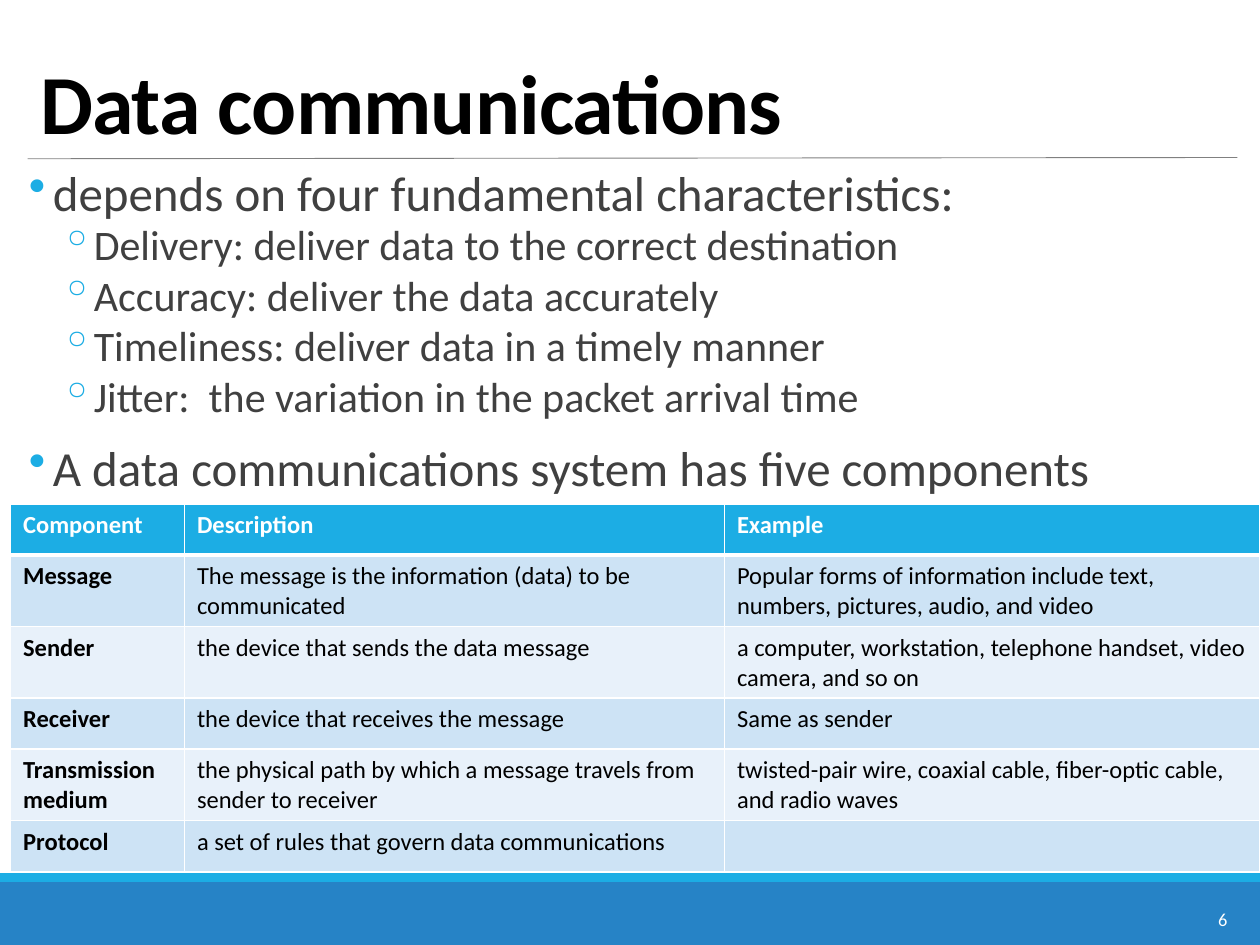
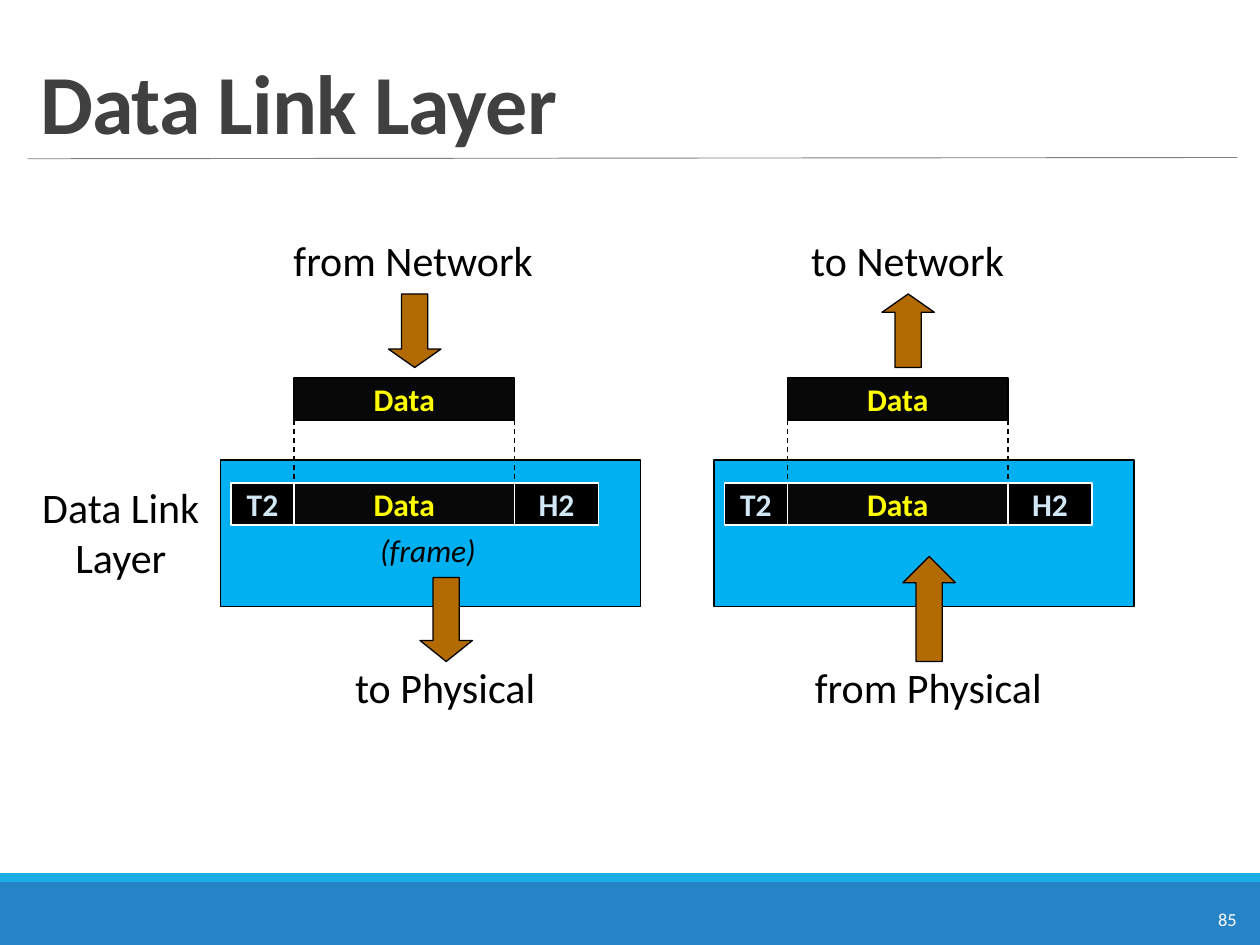
import lxml.etree
import pptx
import pptx.dml.color
import pptx.enum.dml
import pptx.enum.shapes
import pptx.enum.text
import pptx.oxml.ns
import pptx.util

Pt = pptx.util.Pt
qn = pptx.oxml.ns.qn
Shape = pptx.enum.shapes.MSO_SHAPE
Align = pptx.enum.text.PP_ALIGN
Anchor = pptx.enum.text.MSO_ANCHOR

COLORS = {
    "white": "FFFFFF", "black": "000000", "ink": "404040", "rule": "808080",
    "band": "2683C6", "accent": "1CADE4", "row_dark": "CDE3F5",
    "row_light": "E8F1FA", "layer": "00B0F0", "data": "080808",
    "yellow": "FFFF00", "pale": "D1E7F6", "arrow": "B26B02",
}
FONT = "Calibri"


def rgb(name):
    return pptx.dml.color.RGBColor.from_string(COLORS[name])


def add_color(parent, tag, name):
    holder = lxml.etree.SubElement(parent, qn(tag))
    lxml.etree.SubElement(holder, qn("a:srgbClr"), val=COLORS[name])


class SlideWriter:
    """Holds the deck's style and the slide being filled."""

    def __init__(self):
        self.deck = pptx.Presentation()
        self.deck.slide_width = Pt(720)
        self.deck.slide_height = Pt(540)
        self.page = None

    def start_page(self, title, number, title_color):
        self.page = self.deck.slides.add_slide(self.deck.slide_layouts[6])
        # Bottom bands, title rule, page number
        self.shape(0, 504, 720, 36, "band")
        self.shape(0, 499, 720, 5, "accent")
        self.line(15.84, 90.72, 707.04, 90, "rule", 0.5)
        self.text(689, 515.5, 26.6, 20, number, 10.5, "white", wrap=True)
        # Title
        box = self.text(15.84, 18, 691.2, 72, title, 48, title_color,
                        bold=True, wrap=True)
        box.text_frame.vertical_anchor = Anchor.BOTTOM
        para = box.text_frame.paragraphs[0]
        para.line_spacing = 0.85
        para.runs[0].font._element.set("spc", "-50")

    def span(self, para, words, size, color, bold=False, italic=False):
        span = para.add_run()
        span.text = words
        font = span.font
        font.name, font.size = FONT, Pt(size)
        font.bold, font.italic = bold, italic
        font.color.rgb = rgb(color)

    def text(self, left, top, width, height, words, size, color, bold=False,
             italic=False, align=Align.LEFT, wrap=False):
        box = self.page.shapes.add_textbox(Pt(left), Pt(top), Pt(width), Pt(height))
        box.text_frame.word_wrap = wrap
        para = box.text_frame.paragraphs[0]
        para.alignment = align
        for index, row in enumerate(words.split("\n")):
            if index:
                para.add_line_break()
            self.span(para, row, size, color, bold, italic)
        return box

    def bullets(self, left, top, width, height, items):
        box = self.page.shapes.add_textbox(Pt(left), Pt(top), Pt(width), Pt(height))
        frame = box.text_frame
        frame.word_wrap = True
        frame.margin_left = frame.margin_right = 0
        # Per level: size, bullet, text indent, hanging, space before, space after
        levels = [(28, "•", 18, 13.7, 12, 2), (24, "◦", 36.7, 14.4, 2, 4)]
        for index, (level, words) in enumerate(items):
            size, mark, indent, hanging, before, after = levels[level]
            para = frame.add_paragraph() if index else frame.paragraphs[0]
            para.level = level
            para.line_spacing = 0.8
            para.space_before = Pt(before if index else 0)
            para.space_after = Pt(after)
            properties = para._p.get_or_add_pPr()
            properties.set("marL", str(Pt(indent)))
            properties.set("indent", str(-Pt(hanging)))
            add_color(properties, "a:buClr", "accent")
            lxml.etree.SubElement(properties, qn("a:buChar"), char=mark)
            self.span(para, words, size, "ink")

    def shape(self, left, top, width, height, fill, line=None, kind=Shape.RECTANGLE,
              words="", color="white"):
        shape = self.page.shapes.add_shape(kind, Pt(left), Pt(top), Pt(width), Pt(height))
        shape.shadow.inherit = False
        shape.fill.solid()
        shape.fill.fore_color.rgb = rgb(fill)
        if line:
            shape.line.color.rgb = rgb(line)
            shape.line.width = Pt(0.75)
        else:
            shape.line.fill.background()
        if words:
            frame = shape.text_frame
            frame.word_wrap = False
            frame.vertical_anchor = Anchor.MIDDLE
            frame.paragraphs[0].alignment = Align.CENTER
            self.span(frame.paragraphs[0], words, 18, color, bold=True)
        return shape

    def arrow(self, left, top, height, head, kind):
        arrow = self.shape(left, top, 30, height, "arrow", "black", kind)
        arrow.adjustments[0] = 0.5
        arrow.adjustments[1] = head

    def line(self, x1, y1, x2, y2, color, weight, dashed=False):
        line = self.page.shapes.add_connector(
            pptx.enum.shapes.MSO_CONNECTOR.STRAIGHT, Pt(x1), Pt(y1), Pt(x2), Pt(y2))
        line.line.color.rgb = rgb(color)
        line.line.width = Pt(weight)
        if dashed:
            line.line.dash_style = pptx.enum.dml.MSO_LINE.DASH
        lxml.etree.SubElement(line._element.spPr, qn("a:effectLst"))

    def table(self, left, top, widths, row_height, rows):
        table = self.page.shapes.add_table(
            len(rows), len(widths), Pt(left), Pt(top), Pt(sum(widths)),
            Pt(row_height * len(rows))).table
        for column, width in zip(table.columns, widths):
            column.width = Pt(width)
        for r, row in enumerate(rows):
            table.rows[r].height = Pt(row_height)
            fill = "accent" if r == 0 else "row_dark" if r % 2 else "row_light"
            for c, words in enumerate(row):
                cell = table.cell(r, c)
                self.borders(cell, top=3 if r == 1 else 1, bottom=3 if r == 0 else 1)
                cell.fill.solid()
                cell.fill.fore_color.rgb = rgb(fill)
                if words:
                    self.span(cell.text_frame.paragraphs[0], words, 14,
                              "black" if r else "white", bold=r == 0 or c == 0)

    def borders(self, cell, top, bottom):
        properties = cell._tc.get_or_add_tcPr()
        for side, weight in (("L", 1), ("R", 1), ("T", top), ("B", bottom)):
            edge = lxml.etree.SubElement(properties, qn("a:ln" + side), w=str(Pt(weight)))
            add_color(edge, "a:solidFill", "white")


def data_communications(writer):
    writer.start_page("Data communications", "6", "black")
    writer.bullets(12.24, 95.8, 691.2, 198, [
        (0, "depends on four fundamental characteristics:"),
        (1, "Delivery: deliver data to the correct destination"),
        (1, "Accuracy: deliver the data accurately"),
        (1, "Timeliness: deliver data in a timely manner"),
        (1, "Jitter:  the variation in the packet arrival time"),
        (0, "A data communications system has five components"),
    ])
    writer.table(6, 288, [99.4, 308.6, 306], 29.2, [
        ("Component", "Description", "Example"),
        ("Message", "The message is the information (data) to be communicated",
         "Popular forms of information include text, numbers, pictures, audio, and video"),
        ("Sender", "the device that sends the data message",
         "a computer, workstation, telephone handset, video camera, and so on"),
        ("Receiver", "the device that receives the message", "Same as sender"),
        ("Transmission medium",
         "the physical path by which a message travels from sender to receiver",
         "twisted-pair wire, coaxial cable, fiber-optic cable, and radio waves"),
        ("Protocol", "a set of rules that govern data communications", ""),
    ])


def data_link_layer(writer):
    writer.start_page("Data Link Layer", "85", "ink")
    writer.text(16.56, 271.4, 105, 65.5, "Data Link\nLayer", 24, "black",
                align=Align.CENTER)
    # Sending and receiving sides
    for left in (126, 408):
        data_left, data_right = left + 42, left + 168
        writer.shape(left, 262.8, 240, 84, "layer", "black")
        writer.shape(data_left, 216, 126, 24, "data", "black",
                     words="Data", color="yellow")
        # Frame: trailer, data, header
        for offset, width, fill, words, color in (
                (6, 36, "black", "T2", "pale"),
                (42, 126, "data", "Data", "yellow"),
                (168, 48, "black", "H2", "pale")):
            writer.shape(left + offset, 276, width, 24, fill, "white",
                         words=words, color=color)
        for x in (data_left, data_right):
            writer.line(x, 240, x, 276, "black", 0.75, dashed=True)
    # Flow arrows
    writer.arrow(222, 168, 42, 0.35, Shape.DOWN_ARROW)
    writer.arrow(504, 168, 42, 0.35, Shape.UP_ARROW)
    writer.arrow(240, 330, 48, 0.4, Shape.DOWN_ARROW)
    writer.arrow(516, 318, 60, 0.5, Shape.UP_ARROW)
    # Flow labels
    for left, top, width, words in (
            (160.6, 130.3, 152.6, "from Network"), (456.5, 130.3, 125.3, "to Network"),
            (195.8, 374.4, 118, "to Physical"), (458.6, 374.4, 145.4, "from Physical")):
        writer.text(left, top, width, 36, words, 24, "black")
    writer.text(210.2, 300.2, 74.9, 28.8, "(frame)", 18, "black", italic=True)


def main():
    writer = SlideWriter()
    data_communications(writer)
    data_link_layer(writer)
    writer.deck.save("out.pptx")


if __name__ == "__main__":
    main()
